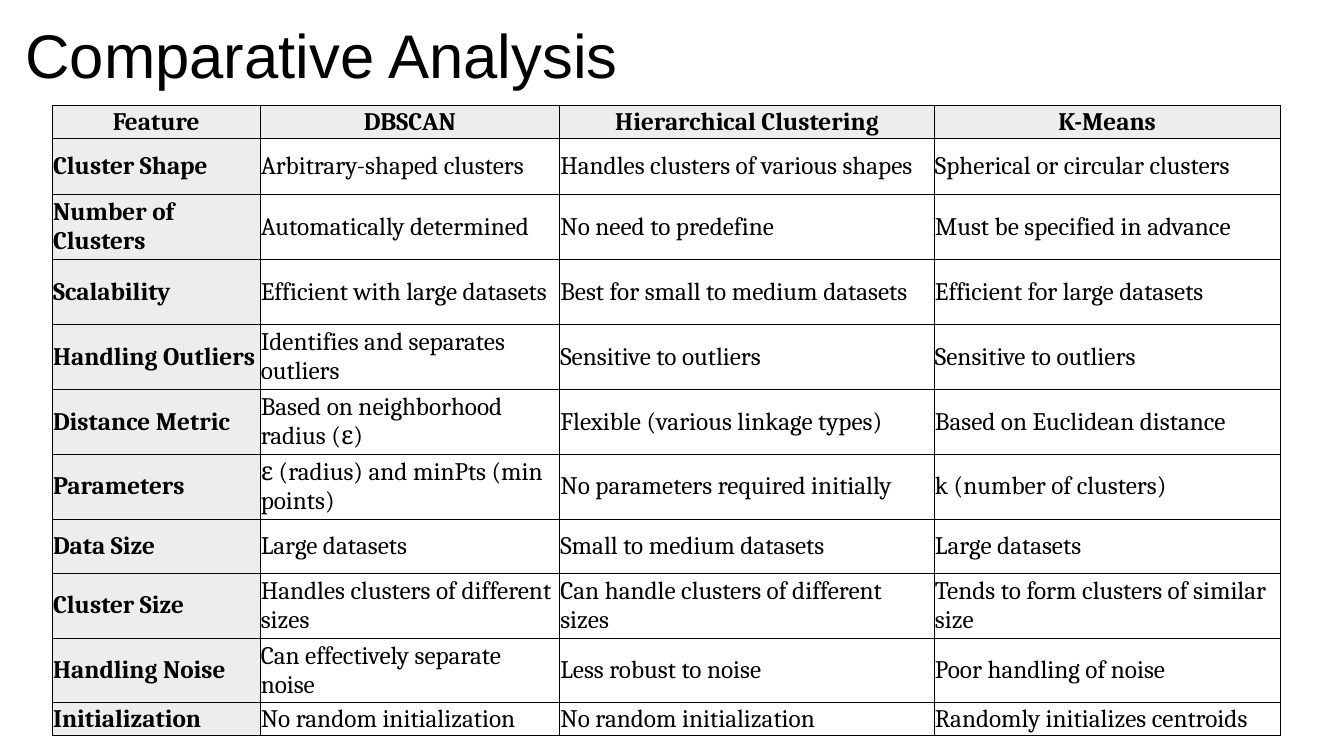
"""Build a slide with a table comparing three clustering methods."""
import pptx
import pptx.dml.color
import pptx.enum.text
import pptx.oxml
import pptx.util

TITLE = "Comparative Analysis"
ROWS = [
    ("Feature", "DBSCAN", "Hierarchical Clustering", "K-Means"),
    ("Cluster Shape", "Arbitrary-shaped clusters",
     "Handles clusters of various shapes", "Spherical or circular clusters"),
    ("Number of Clusters", "Automatically determined",
     "No need to predefine", "Must be specified in advance"),
    ("Scalability", "Efficient with large datasets",
     "Best for small to medium datasets", "Efficient for large datasets"),
    ("Handling Outliers", "Identifies and separates outliers",
     "Sensitive to outliers", "Sensitive to outliers"),
    ("Distance Metric", "Based on neighborhood radius (ε)",
     "Flexible (various linkage types)", "Based on Euclidean distance"),
    ("Parameters", "ε (radius) and minPts (min points)",
     "No parameters required initially", "k (number of clusters)"),
    ("Data Size", "Large datasets", "Small to medium datasets", "Large datasets"),
    ("Cluster Size", "Handles clusters of different sizes",
     "Can handle clusters of different sizes",
     "Tends to form clusters of similar size"),
    ("Handling Noise", "Can effectively separate noise",
     "Less robust to noise", "Poor handling of noise"),
    ("Initialization", "No random initialization",
     "No random initialization", "Randomly initializes centroids"),
]
COLUMN_WIDTHS = (148.4, 214, 267.6, 247)
USUAL_HEIGHT = 46.4
SPECIAL_HEIGHTS = {0: 23.6, 1: 40, 7: 38.6, 10: 23.6}
TABLE_LEFT, TABLE_TOP = 37.4, 75.2
BLACK, HEADING_FILL = "000000", "EDEDED"

Pt = pptx.util.Pt
ALIGN = pptx.enum.text.PP_ALIGN
ANCHOR = pptx.enum.text.MSO_ANCHOR


def color(value):
    return pptx.dml.color.RGBColor.from_string(value)


def apply(target, values):
    for name, value in values.items():
        setattr(target, name, value)


def write(para, text, align, **font):
    para.alignment = align
    span = para.add_run()
    span.text = text
    apply(span.font, font)
    span.font.color.rgb = color(BLACK)


def add_borders(cell):
    properties = cell._tc.get_or_add_tcPr()
    for side in "LRTB":
        properties.append(pptx.oxml.parse_xml(
            f'<a:ln{side} xmlns:a="http://schemas.openxmlformats.org/drawingml/2006/main" '
            f'w="{Pt(0.5)}"><a:solidFill><a:srgbClr val="{BLACK}"/></a:solidFill></a:ln{side}>'))


def add_title(page):
    box = page.shapes.title
    apply(box, {"left": Pt(17.3), "top": Pt(11.5), "width": Pt(600), "height": Pt(54)})
    apply(box.text_frame, {
        "margin_left": Pt(0.9), "margin_right": 0, "margin_top": Pt(0.9),
        "margin_bottom": 0, "vertical_anchor": ANCHOR.TOP, "word_wrap": True})
    write(box.text_frame.paragraphs[0], TITLE, ALIGN.LEFT, name="Arial", size=Pt(44))


def add_comparison(page):
    heights = [SPECIAL_HEIGHTS.get(index, USUAL_HEIGHT) for index in range(len(ROWS))]
    table = page.shapes.add_table(
        len(ROWS), len(COLUMN_WIDTHS), Pt(TABLE_LEFT), Pt(TABLE_TOP),
        Pt(sum(COLUMN_WIDTHS)), Pt(sum(heights))).table
    apply(table, {"first_row": False, "horz_banding": False})
    for column, width in zip(table.columns, COLUMN_WIDTHS):
        column.width = Pt(width)
    for row, height in zip(table.rows, heights):
        row.height = Pt(height)
    for row_index, texts in enumerate(ROWS):
        for column_index, text in enumerate(texts):
            cell = table.cell(row_index, column_index)
            heading = row_index == 0 or column_index == 0
            apply(cell, {
                "margin_left": Pt(0.5), "margin_right": Pt(0.5), "margin_top": Pt(0.5),
                "margin_bottom": 0, "vertical_anchor": ANCHOR.MIDDLE})
            add_borders(cell)
            if heading:
                cell.fill.solid()
                cell.fill.fore_color.rgb = color(HEADING_FILL)
            else:
                cell.fill.background()
            write(cell.text_frame.paragraphs[0], text,
                  ALIGN.CENTER if row_index == 0 else ALIGN.LEFT,
                  name="Cambria", size=Pt(18), bold=heading)


def main():
    deck = pptx.Presentation()
    apply(deck, {"slide_width": Pt(960), "slide_height": Pt(540)})
    page = deck.slides.add_slide(deck.slide_layouts.get_by_name("Title Only"))
    add_title(page)
    add_comparison(page)
    deck.save("out.pptx")


if __name__ == "__main__":
    main()
